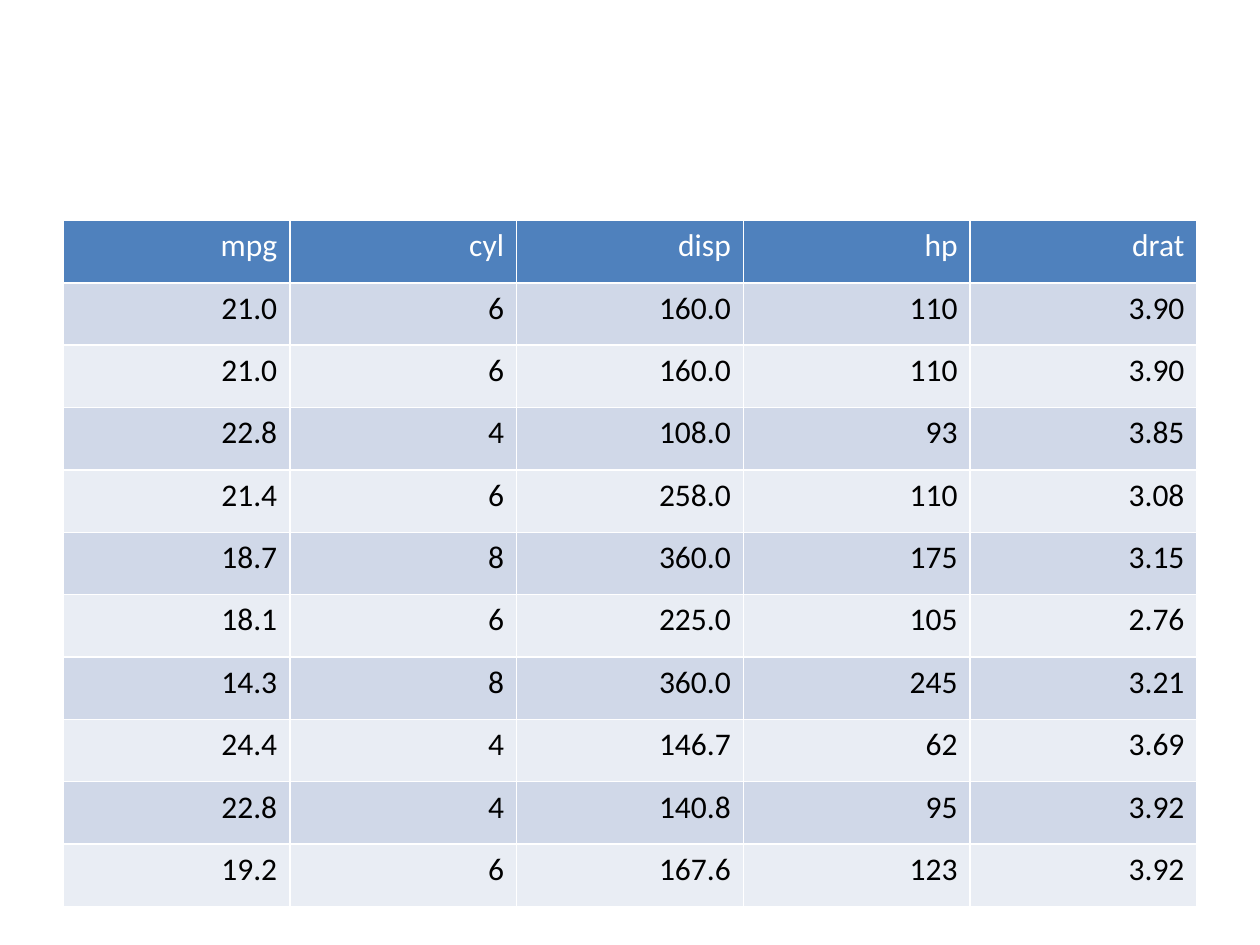
from lxml import etree
from pptx import Presentation
from pptx.dml.color import RGBColor
from pptx.enum.text import PP_ALIGN
from pptx.oxml.ns import qn
from pptx.util import Inches, Pt

RIGHT = PP_ALIGN.RIGHT
BLANK_LAYOUT = 6
HEADER_FILL = "4F81BD"
BAND_FILLS = ["E9EDF4", "D0D8E8"]
WHITE = "FFFFFF"
BLACK = "000000"


def color(value):
    return RGBColor.from_string(value)


def add_borders(cell):
    properties = cell._tc.get_or_add_tcPr()
    for position, side in enumerate(["a:lnL", "a:lnR", "a:lnT", "a:lnB"]):
        line = etree.Element(qn(side), w=str(Pt(1)))
        fill = etree.SubElement(line, qn("a:solidFill"))
        etree.SubElement(fill, qn("a:srgbClr"), val=WHITE)
        properties.insert(position, line)


car_rows = [
    ["mpg", "cyl", "disp", "hp", "drat"],
    ["21.0", "6", "160.0", "110", "3.90"],
    ["21.0", "6", "160.0", "110", "3.90"],
    ["22.8", "4", "108.0", "93", "3.85"],
    ["21.4", "6", "258.0", "110", "3.08"],
    ["18.7", "8", "360.0", "175", "3.15"],
    ["18.1", "6", "225.0", "105", "2.76"],
    ["14.3", "8", "360.0", "245", "3.21"],
    ["24.4", "4", "146.7", "62", "3.69"],
    ["22.8", "4", "140.8", "95", "3.92"],
    ["19.2", "6", "167.6", "123", "3.92"],
]

prs = Presentation()
prs.slide_width = Inches(10)
prs.slide_height = Inches(7.5)
slide = prs.slides.add_slide(prs.slide_layouts[BLANK_LAYOUT])

row_count = len(car_rows)
column_count = len(car_rows[0])
row_height = Inches(4.95 / (row_count - 1))
cars = slide.shapes.add_table(
    row_count, column_count,
    Inches(0.5), Inches(1.75), Inches(9), row_height * row_count,
).table

for row_index, values in enumerate(car_rows):
    is_header = row_index == 0
    for column_index, value in enumerate(values):
        cell = cars.cell(row_index, column_index)
        cell.fill.solid()
        cell.fill.fore_color.rgb = color(
            HEADER_FILL if is_header else BAND_FILLS[row_index % 2])
        add_borders(cell)
        paragraph = cell.text_frame.paragraphs[0]
        paragraph.alignment = RIGHT
        run = paragraph.add_run()
        run.text = value
        run.font.name = "Calibri"
        run.font.size = Pt(18)
        run.font.bold = False
        run.font.color.rgb = color(WHITE if is_header else BLACK)

prs.save("out.pptx")
